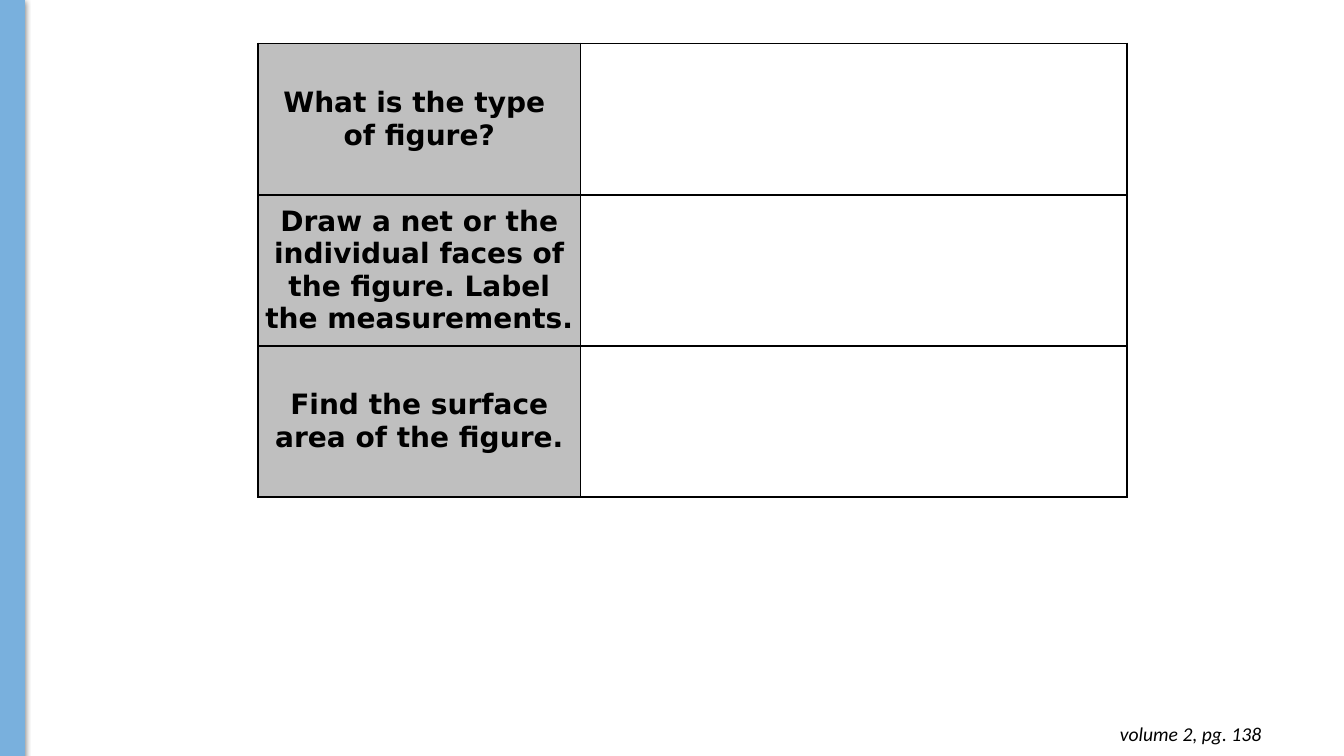
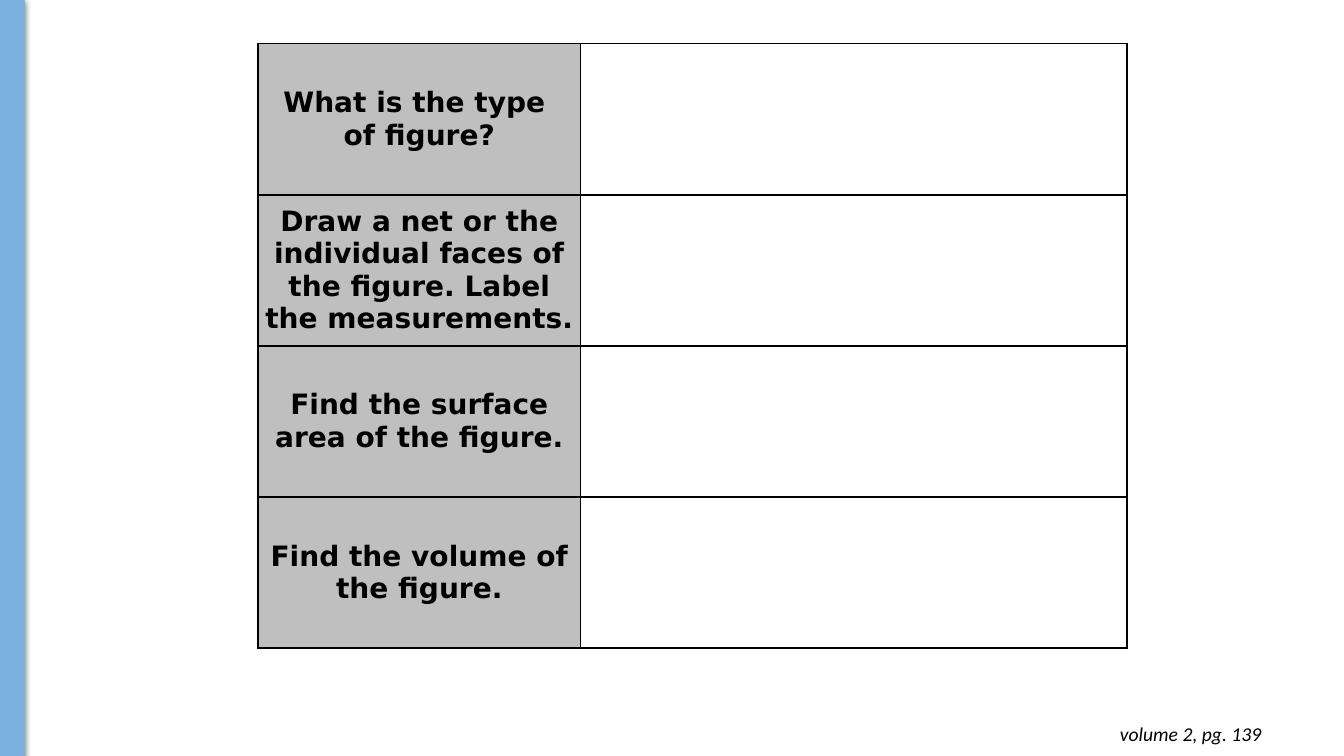
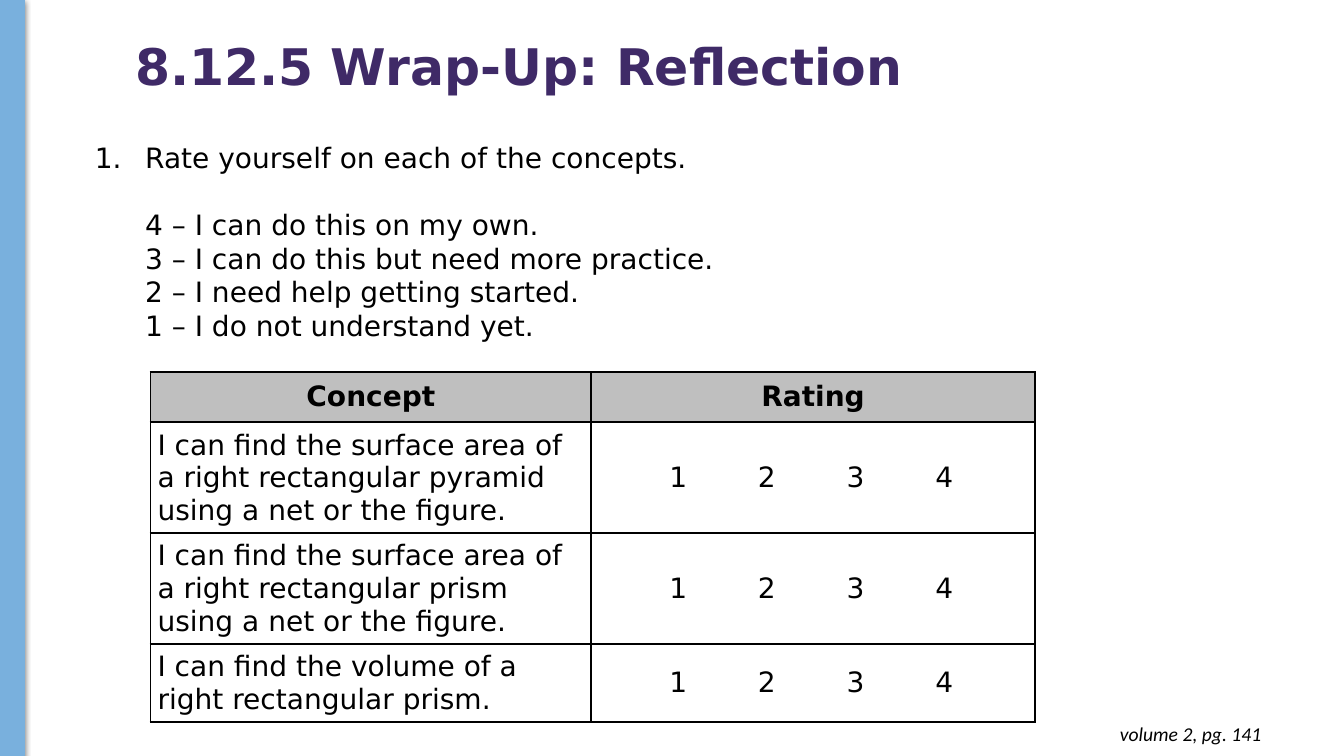
from dataclasses import dataclass

from lxml.etree import SubElement
from pptx import Presentation
from pptx.dml.color import RGBColor
from pptx.enum.shapes import MSO_SHAPE
from pptx.enum.text import MSO_ANCHOR as Anchor, MSO_AUTO_SIZE as AutoSize, PP_ALIGN as Align
from pptx.oxml.ns import qn
from pptx.util import Inches, Pt


@dataclass(frozen=True)
class Theme:
    width: int = Inches(13.33)
    height: int = Inches(7.5)
    band: str = "79B0DD"
    heading: str = "3F2A67"
    text: str = "000000"
    header_fill: str = "BFBFBF"
    cell_fill: str = "FFFFFF"
    font: str = "DejaVu Sans"
    reference_font: str = "Calibri"
    title_size: int = 36
    body_size: int = 20
    reference_size: int = 14
    line_pitch: int = 24
    border: float = 1.5


THEME = Theme()
TITLE_AND_CONTENT, BLANK = 1, 6
QUESTIONS = [
    "What is the type \vof figure?",
    "Draw a net or the individual faces of the figure. Label the measurements.",
    "Find the surface area of the figure.",
    "Find the volume of the figure.",
]
INSTRUCTIONS = [
    "Rate yourself on each of the concepts.",
    "4 – I can do this on my own.",
    "3 – I can do this but need more practice.",
    "2 – I need help getting started.",
    "1 – I do not understand yet.",
]
CONCEPTS = [
    "I can find the surface area of a right rectangular pyramid using a net or the figure.",
    "I can find the surface area of a right rectangular prism using a net or the figure.",
    "I can find the volume of a right rectangular prism.",
]
RATING_SCALE = "\t1\t2\t3\t4"


def across(percent):
    return round(THEME.width * percent / 100)


def down(percent):
    return round(THEME.height * percent / 100)


def area(left, top, width, height):
    return across(left), down(top), across(width), down(height)


def move(shape, left, top, width, height):
    shape.left, shape.top, shape.width, shape.height = area(left, top, width, height)


def color(value):
    return RGBColor.from_string(value)


def format_runs(paragraph, size=THEME.body_size, font=THEME.font, ink=THEME.text, bold=False, italic=False):
    for run in paragraph.runs:
        run.font.size = Pt(size)
        run.font.name = font
        run.font.color.rgb = color(ink)
        run.font.bold = bold
        run.font.italic = italic


def add_band(slide):
    band = slide.shapes.add_shape(MSO_SHAPE.RECTANGLE, *area(0, 0, 1.8, 100))
    band.fill.solid()
    band.fill.fore_color.rgb = color(THEME.band)
    band.line.color.rgb = color(THEME.band)
    band.line.width = Pt(0.75)
    band.shadow.inherit = False
    effects = band._element.spPr.find(qn("a:effectLst"))
    shadow = SubElement(effects, qn("a:outerShdw"), blurRad=str(Pt(4.5)), dist=str(Pt(1.5)),
                        dir="5400000", rotWithShape="0")
    ink = SubElement(shadow, qn("a:srgbClr"), val=THEME.text)
    SubElement(ink, qn("a:alpha"), val="50000")


def add_page_reference(slide, page):
    text_frame = slide.shapes.add_textbox(*area(73, 94.1, 21.6, 5.9)).text_frame
    text_frame.word_wrap = True
    text_frame.auto_size = AutoSize.SHAPE_TO_FIT_TEXT
    text_frame.margin_top = text_frame.margin_bottom = Inches(0.1)
    paragraph = text_frame.paragraphs[0]
    paragraph.text = f"volume 2, pg. {page}"
    paragraph.alignment = Align.RIGHT
    format_runs(paragraph, THEME.reference_size, THEME.reference_font, italic=True)


def add_page(presentation, layout, page):
    slide = presentation.slides.add_slide(presentation.slide_layouts[layout])
    add_band(slide)
    add_page_reference(slide, page)
    return slide


def set_title(slide, text):
    title = slide.shapes.title
    move(title, 9.3, -0.5, 75.9, 19.3)
    title.text_frame.text = text
    title.text_frame.vertical_anchor = Anchor.MIDDLE
    title.text_frame.auto_size = AutoSize.NONE
    paragraph = title.text_frame.paragraphs[0]
    paragraph.alignment = Align.LEFT
    paragraph.line_spacing = 0.9
    format_runs(paragraph, THEME.title_size, ink=THEME.heading, bold=True)


def set_list_marker(paragraph, numbered):
    properties = paragraph._p.get_or_add_pPr()
    properties.set("marL", str(Inches(0.5)))
    properties.set("indent", str(Inches(-0.5 if numbered else 0)))
    if numbered:
        marker_color = SubElement(properties, qn("a:buClr"))
        SubElement(marker_color, qn("a:srgbClr"), val=THEME.text)
        SubElement(properties, qn("a:buFont"), typeface=THEME.font)
        SubElement(properties, qn("a:buAutoNum"), type="arabicPeriod")
    else:
        SubElement(properties, qn("a:buNone"))


def set_instructions(slide, lines):
    body = slide.placeholders[1]
    move(body, 6.3, 17.9, 89.5, 28.3)
    text_frame = body.text_frame
    text_frame.text = "\n".join(lines)
    text_frame.auto_size = AutoSize.SHAPE_TO_FIT_TEXT
    for index, paragraph in enumerate(text_frame.paragraphs):
        set_list_marker(paragraph, numbered=index == 0)
        paragraph.line_spacing = Pt(THEME.line_pitch)
        paragraph.space_before = Pt(THEME.line_pitch if index == 1 else 0)
        format_runs(paragraph)


def set_borders(cell):
    properties = cell._tc.get_or_add_tcPr()
    for side in ("lnL", "lnR", "lnT", "lnB"):
        line = SubElement(properties, qn(f"a:{side}"), w=str(Pt(THEME.border)))
        fill = SubElement(line, qn("a:solidFill"))
        SubElement(fill, qn("a:srgbClr"), val=THEME.text)


def set_tab_stops(paragraph, positions):
    stops = SubElement(paragraph._p.get_or_add_pPr(), qn("a:tabLst"))
    for position in positions:
        SubElement(stops, qn("a:tab"), pos=str(round(position)), algn="ctr")


def fill_cell(cell, text, header, centered, margins):
    set_borders(cell)
    cell.fill.solid()
    cell.fill.fore_color.rgb = color(THEME.header_fill if header else THEME.cell_fill)
    cell.vertical_anchor = Anchor.MIDDLE
    cell.margin_left = cell.margin_right = Inches(margins[0])
    cell.margin_top = cell.margin_bottom = Inches(margins[1])
    paragraph = cell.text_frame.paragraphs[0]
    paragraph.text = text
    paragraph.alignment = Align.CENTER if centered else Align.LEFT
    format_runs(paragraph, bold=header)


def add_grid(slide, left, top, columns, rows, texts, is_header, margins):
    frame = slide.shapes.add_table(len(rows), len(columns), *area(left, top, sum(columns), sum(rows)))
    table = frame.table
    table.first_row = table.horz_banding = False
    for column, width in zip(table.columns, columns):
        column.width = across(width)
    for row, height in zip(table.rows, rows):
        row.height = down(height)
    for row_index, row_texts in enumerate(texts):
        for column_index, text in enumerate(row_texts):
            header = is_header(row_index, column_index)
            fill_cell(table.cell(row_index, column_index), text, header, header, margins)
    return table


def add_question_page(presentation, page, questions):
    slide = add_page(presentation, BLANK, page)
    add_grid(slide, 19.2, 5.75, [24, 40.65], [20] * len(questions),
             [(question, "") for question in questions],
             lambda row, column: column == 0, (0.05, 0))


def add_reflection_page(presentation, page):
    slide = add_page(presentation, TITLE_AND_CONTENT, page)
    set_title(slide, "8.12.5 Wrap-Up: Reflection")
    set_instructions(slide, INSTRUCTIONS)
    texts = [("Concept", "Rating")] + [(concept, RATING_SCALE) for concept in CONCEPTS]
    table = add_grid(slide, 11.2, 49.2, [32.8, 33], [6.67, 14.67, 14.67, 10.2], texts,
                     lambda row, column: row == 0, (0.07, 0.05))
    rating_width = table.columns[1].width
    for row in range(1, len(texts)):
        paragraph = table.cell(row, 1).text_frame.paragraphs[0]
        set_tab_stops(paragraph, [rating_width * (0.18 + 0.2 * step) for step in range(4)])


def main():
    presentation = Presentation()
    presentation.slide_width = THEME.width
    presentation.slide_height = THEME.height
    add_question_page(presentation, 138, QUESTIONS[:3])
    add_question_page(presentation, 139, QUESTIONS)
    add_reflection_page(presentation, 141)
    presentation.save("out.pptx")


if __name__ == "__main__":
    main()
